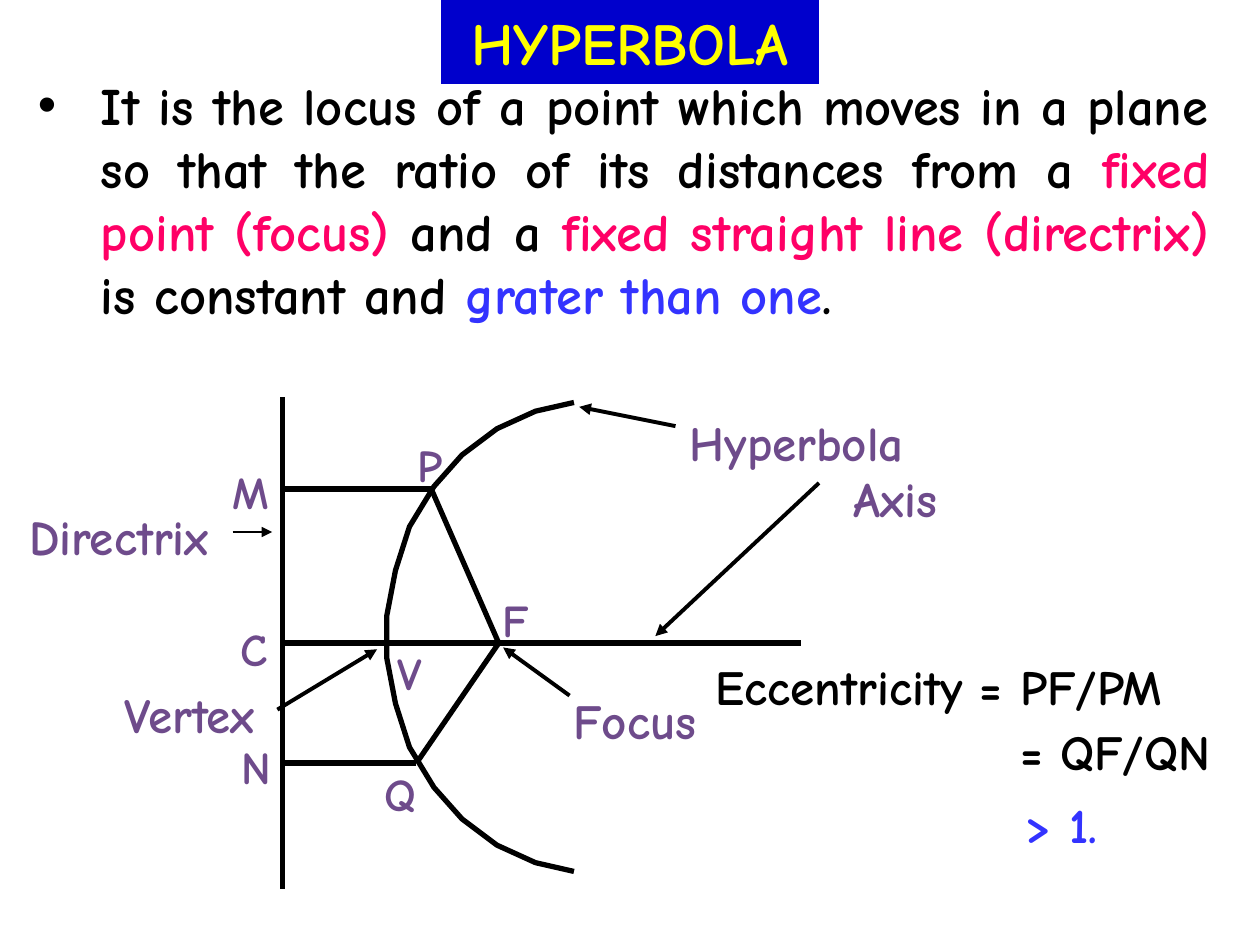
from dataclasses import dataclass

from lxml import etree
from pptx import Presentation
from pptx.dml.color import RGBColor
from pptx.enum.shapes import MSO_CONNECTOR
from pptx.enum.text import MSO_ANCHOR, MSO_AUTO_SIZE, PP_ALIGN
from pptx.oxml.ns import qn
from pptx.util import Pt

STRAIGHT = MSO_CONNECTOR.STRAIGHT
TOP, MIDDLE = MSO_ANCHOR.TOP, MSO_ANCHOR.MIDDLE
NO_FIT = MSO_AUTO_SIZE.NONE
LEFT, CENTER, JUSTIFY = PP_ALIGN.LEFT, PP_ALIGN.CENTER, PP_ALIGN.JUSTIFY


@dataclass(frozen=True)
class Theme:
    font: str = "Comic Neue"
    ink: str = "000000"
    label: str = "6E4B8B"
    pink: str = "FF0066"
    blue: str = "3333FF"
    title_fill: str = "0000CC"
    title_text: str = "FFFF00"
    title_size: float = 34
    body_size: float = 30
    name_size: float = 28
    point_size: float = 26


THEME = Theme()

# Key points of the figure
M, P = (162, 279.5), (246.5, 279.5)
C, F, AXIS_END = (162, 367.5), (285, 367.5), (458, 367.5)
N, Q = (162, 436), (238, 436)

# Upper half of the curve, mirrored to give the lower half
UPPER = [(328.5, 229.5), (305.5, 235), (283.5, 245), (264.5, 260),
         (247.5, 278.5), (234.5, 301), (225.5, 325.5), (221, 351.5)]
MIRROR_Y = 364


def place(sp, left, top, width, height):
    sp.left, sp.top, sp.width, sp.height = map(Pt, (left, top, width, height))


def write(tf, text, *, size, color=THEME.ink, align=LEFT, spacing=None,
          anchor=TOP, wrap=True):
    """Write a string, or a list of (string, colour) runs, as one paragraph."""
    tf.auto_size, tf.word_wrap, tf.vertical_anchor = NO_FIT, wrap, anchor
    p = tf.paragraphs[0]
    p.alignment, p.space_before = align, Pt(0)
    if spacing:
        p.line_spacing = spacing
    for part, rgb in [(text, color)] if isinstance(text, str) else text:
        r = p.add_run()
        r.text = part
        r.font.name, r.font.size, r.font.bold = THEME.font, Pt(size), True
        r.font.color.rgb = RGBColor.from_string(rgb)
    return p


def add_label(s, text, left, top, width, height, **fmt):
    sp = s.shapes.add_textbox(Pt(left), Pt(top), Pt(width), Pt(height))
    write(sp.text_frame, text, **fmt)


def add_line(s, start, end, width=3, arrow=False):
    cx = s.shapes.add_connector(STRAIGHT, *map(Pt, (*start, *end)))
    cx.line.width = Pt(width)
    cx.line.color.rgb = RGBColor.from_string(THEME.ink)
    if arrow:
        etree.SubElement(cx.line._get_or_add_ln(), qn("a:tailEnd"), type="triangle")
    etree.SubElement(cx._element.spPr, qn("a:effectLst"))


def add_curve(s):
    points = UPPER + [(x, 2 * MIRROR_Y - y) for x, y in reversed(UPPER)]
    fb = s.shapes.build_freeform(*points[0], scale=Pt(1))
    fb.add_line_segments(points[1:], close=False)
    sp = fb.convert_to_shape()
    sp.fill.background()
    sp.line.width = Pt(3)
    sp.line.color.rgb = RGBColor.from_string(THEME.ink)
    sp.shadow.inherit = False


def add_title(s):
    sp = s.shapes.title
    place(sp, 252, 0, 216, 48)
    sp.fill.solid()
    sp.fill.fore_color.rgb = RGBColor.from_string(THEME.title_fill)
    write(sp.text_frame, "HYPERBOLA", size=THEME.title_size,
          color=THEME.title_text, align=CENTER, anchor=MIDDLE)


def add_definition(s):
    sp = s.placeholders[1]
    place(sp, 14.4, 38, 684, 187)
    p = write(sp.text_frame, [
        ("It is the locus of a point which moves in a plane so that "
         "the ratio of its distances from a ", THEME.ink),
        ("fixed point (focus)", THEME.pink),
        (" and a ", THEME.ink),
        ("fixed straight line (directrix)", THEME.pink),
        (" is constant and ", THEME.ink),
        ("grater than one", THEME.blue),
        (".", THEME.ink),
    ], size=THEME.body_size, align=JUSTIFY)
    pPr = p._p.get_or_add_pPr()
    pPr.set("marL", str(Pt(36)))
    pPr.set("indent", str(-Pt(36)))


def add_figure(s):
    # Directrix, axis, curve and focal distances
    add_line(s, (161.5, 227), (161.5, 508))
    add_line(s, C, AXIS_END)
    add_curve(s)
    for start, end in [(M, P), (P, F), (F, Q), (Q, N)]:
        add_line(s, start, end)

    # Arrows from the names to the parts
    for start, end, width in [
        ((468, 276), (374.5, 363.5), 2.25),
        ((386, 243.5), (331, 232.5), 2.25),
        ((325.5, 397.5), (287.5, 370), 2.25),
        ((133, 304), (155.5, 304), 0.75),
        ((158.5, 405.5), (215.5, 371), 2.25),
    ]:
        add_line(s, start, end, width, arrow=True)

    # Names of the parts
    for text, left, top, width in [
        ("Axis", 459.5, 254, 104.5), ("Directrix", -54, 276, 244),
        ("Hyperbola", 375, 222, 160.5), ("Focus", 314.5, 381, 96.5),
        ("Vertex", 49.5, 377.5, 118),
    ]:
        add_label(s, text, left, top, width, 51, size=THEME.name_size,
                  color=THEME.label, align=CENTER, spacing=1.3)

    # Letters of the points
    for text, left, top, width in [
        ("M", 126, 252, 22.5), ("C", 130.5, 342, 22.5), ("N", 131, 409.5, 22.5),
        ("Q", 212.5, 425, 33), ("F", 280, 325.5, 22.5), ("V", 217.5, 355.5, 33),
        ("P", 229.5, 237, 33),
    ]:
        add_label(s, text, left, top, width, 47.5, size=THEME.point_size,
                  color=THEME.label, align=CENTER, spacing=1.3)


def add_eccentricity(s):
    for text, left, top, width, color in [
        ("Eccentricity = PF/PM", 402, 365, 324, THEME.ink),
        ("= QF/QN", 576, 402, 159, THEME.ink),
        ("> 1.", 579, 444, 73, THEME.blue),
    ]:
        add_label(s, text, left, top, width, 47.5, size=THEME.name_size,
                  color=color, spacing=1.2)


def main():
    prs = Presentation()
    prs.slide_width, prs.slide_height = Pt(720), Pt(540)
    s = prs.slides.add_slide(prs.slide_layouts[1])
    add_title(s)
    add_definition(s)
    add_figure(s)
    add_eccentricity(s)
    prs.save("out.pptx")


if __name__ == "__main__":
    main()
